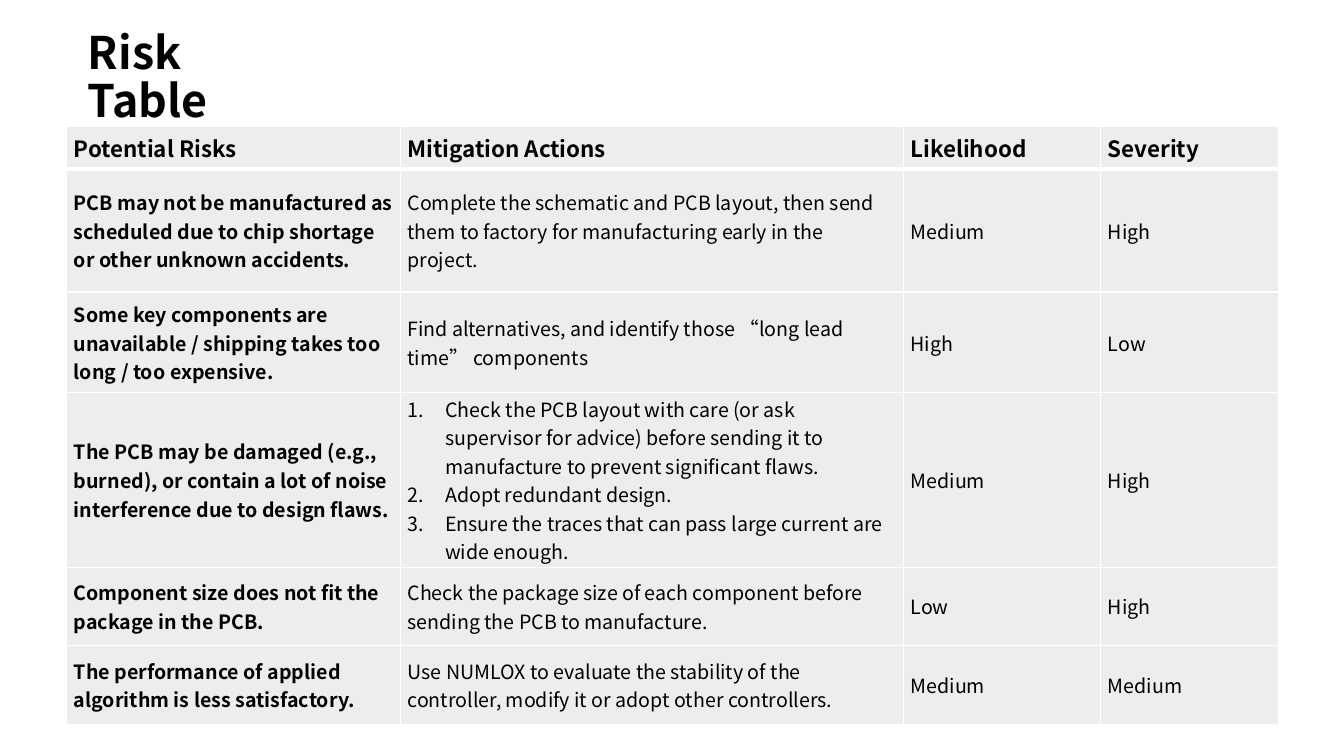
from dataclasses import dataclass

import pptx
import pptx.dml.color
import pptx.enum.text
import pptx.oxml
import pptx.oxml.ns
import pptx.util
from lxml import etree

Cm = pptx.util.Cm
Pt = pptx.util.Pt
qn = pptx.oxml.ns.qn

FONT = "Noto Sans CJK SC"
COLORS = {"text": "000000", "cell": "EDEDED", "border": "FFFFFF"}
HEADERS = ("Potential Risks", "Mitigation Actions", "Likelihood", "Severity")
COLUMN_WIDTHS = (8.41, 12.68, 4.97, 4.47)
HEADER_HEIGHT = 1.07


@dataclass
class Risk:
    """One row of the risk table; several actions make a numbered list."""

    name: str
    actions: tuple[str, ...]
    likelihood: str
    severity: str
    height: float


RISKS = (
    Risk("PCB may not be manufactured as scheduled due to chip shortage or other unknown accidents.",
         ("Complete the schematic and PCB layout, then send them to factory for manufacturing "
          "early in the project.",),
         "Medium", "High", 3.1),
    Risk("Some key components are unavailable / shipping takes too long / too expensive.",
         ("Find alternatives, and identify those “long lead time” components",),
         "High", "Low", 2.54),
    Risk("The PCB may be damaged (e.g., burned), or contain a lot of noise interference "
         "due to design flaws.",
         ("Check the PCB layout with care (or ask supervisor for advice) before sending it "
          "to manufacture to prevent significant flaws.",
          "Adopt redundant design.",
          "Ensure the traces that can pass large current are wide enough."),
         "Medium", "High", 4.39),
    Risk("Component size does not fit the package in the PCB.",
         ("Check the package size of each component before sending the PCB to manufacture.",),
         "Low", "High", 1.98),
    Risk("The performance of applied algorithm is less satisfactory.",
         ("Use NUMLOX to evaluate the stability of the controller, modify it or adopt "
          "other controllers.",),
         "Medium", "Medium", 1.98),
)


def rgb(name: str) -> pptx.dml.color.RGBColor:
    """Return the named colour."""
    return pptx.dml.color.RGBColor.from_string(COLORS[name])


def format_paragraph(paragraph, size: float, bold: bool) -> None:
    """Set the font of a paragraph, for Latin and East Asian characters."""
    font = paragraph.font
    font.name, font.size, font.bold = FONT, Pt(size), bold
    font.color.rgb = rgb("text")
    properties = paragraph._p.get_or_add_pPr().find(qn("a:defRPr"))
    etree.SubElement(properties, qn("a:ea"), typeface=FONT)


def number_paragraph(paragraph) -> None:
    """Give a paragraph an automatic number and a hanging indent."""
    properties = paragraph._p.get_or_add_pPr()
    indent = Cm(0.95)
    properties.set("marL", str(indent))
    properties.set("indent", str(-indent))
    etree.SubElement(properties, qn("a:buFont"), typeface="+mj-lt")
    etree.SubElement(properties, qn("a:buAutoNum"), type="arabicPeriod")


def set_borders(cell, top: float, bottom: float) -> None:
    """Draw the four borders of a cell, with widths in points."""
    properties = cell._tc.get_or_add_tcPr()
    for side, width in (("L", 1), ("R", 1), ("T", top), ("B", bottom)):
        line = etree.SubElement(properties, qn(f"a:ln{side}"), w=str(Pt(width)))
        fill = etree.SubElement(line, qn("a:solidFill"))
        etree.SubElement(fill, qn("a:srgbClr"), val=COLORS["border"])


def fill_cell(cell, lines: tuple[str, ...], size: float, bold: bool,
              top: float, bottom: float) -> None:
    """Write and format one table cell."""
    set_borders(cell, top, bottom)
    cell.fill.solid()
    cell.fill.fore_color.rgb = rgb("cell")
    cell.vertical_anchor = pptx.enum.text.MSO_ANCHOR.MIDDLE
    cell.margin_left = cell.margin_right = Cm(0.18)
    cell.margin_top = cell.margin_bottom = 0
    cell.text_frame.text = "\n".join(lines)
    for paragraph in cell.text_frame.paragraphs:
        if len(lines) > 1:
            number_paragraph(paragraph)
        format_paragraph(paragraph, size, bold)


def add_title(slide, text: str) -> None:
    """Place and format the title placeholder."""
    title = slide.shapes.title
    title.left, title.top, title.width, title.height = Cm(1.96), Cm(0.79), Cm(5.94), Cm(2.39)
    frame = title.text_frame
    frame.text = text
    frame.word_wrap = True
    frame.auto_size = pptx.enum.text.MSO_AUTO_SIZE.NONE
    frame.vertical_anchor = pptx.enum.text.MSO_ANCHOR.MIDDLE
    paragraph = frame.paragraphs[0]
    paragraph.alignment = pptx.enum.text.PP_ALIGN.LEFT
    paragraph.line_spacing = 0.9
    format_paragraph(paragraph, 32, True)


def add_risk_table(slide) -> None:
    """Draw the header row and one row per risk."""
    heights = [HEADER_HEIGHT] + [risk.height for risk in RISKS]
    table = slide.shapes.add_table(
        len(heights), len(HEADERS), Cm(1.68), Cm(3.19),
        Cm(sum(COLUMN_WIDTHS)), Cm(sum(heights))).table
    table.first_row = table.horz_banding = False
    for column, width in zip(table.columns, COLUMN_WIDTHS):
        column.width = Cm(width)
    for row, height in zip(table.rows, heights):
        row.height = Cm(height)
    for column, header in enumerate(HEADERS):
        fill_cell(table.cell(0, column), (header,), 16, True, 1, 3)
    for row, risk in enumerate(RISKS, start=1):
        contents = ((risk.name,), risk.actions, (risk.likelihood,), (risk.severity,))
        for column, lines in enumerate(contents):
            fill_cell(table.cell(row, column), lines, 14, column == 0, 3 if row == 1 else 1, 1)


def main() -> None:
    """Build and save the presentation."""
    presentation = pptx.Presentation()
    presentation.slide_width, presentation.slide_height = Cm(33.87), Cm(19.05)
    title_only = presentation.slide_layouts.get_by_name("Title Only")
    slide = presentation.slides.add_slide(title_only)
    add_title(slide, "Risk Table")
    add_risk_table(slide)
    presentation.save("out.pptx")


main()
